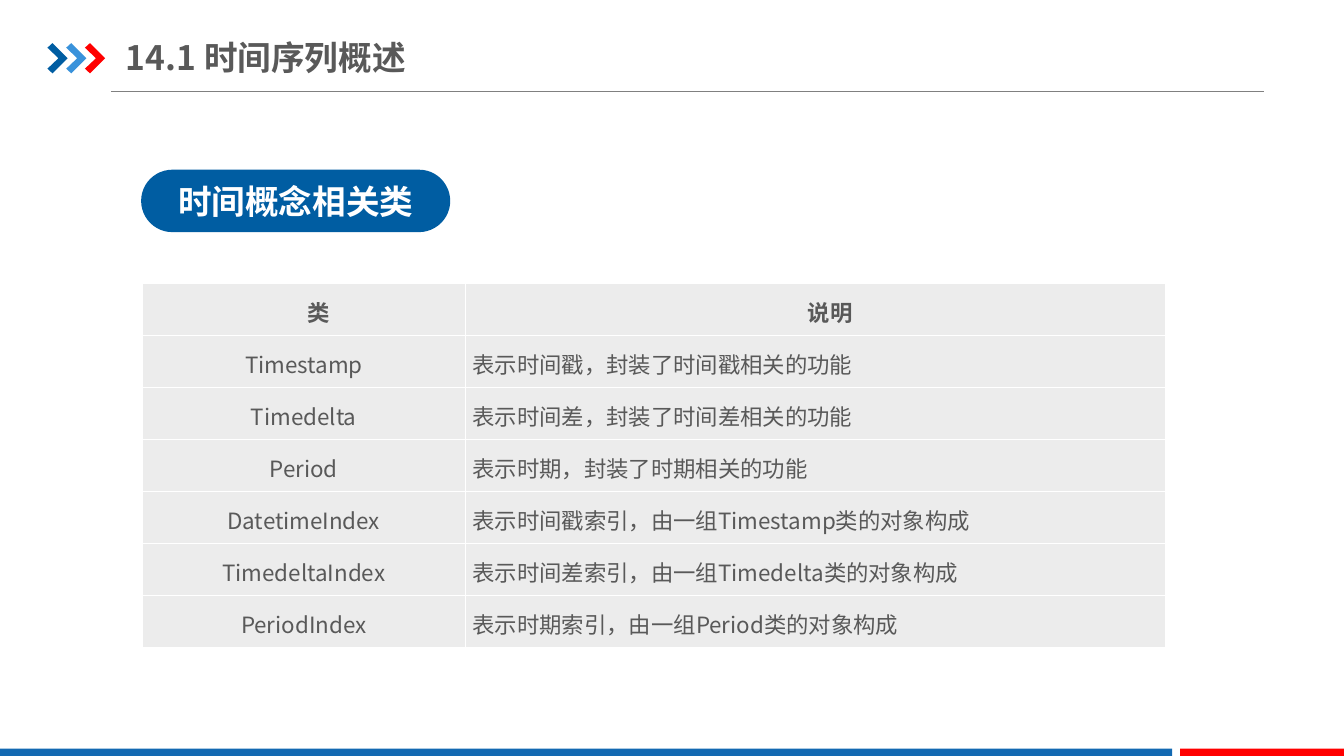
from lxml.etree import SubElement
from pptx import Presentation
from pptx.dml.color import RGBColor
from pptx.enum.shapes import MSO_CONNECTOR, MSO_SHAPE
from pptx.enum.text import MSO_ANCHOR, MSO_AUTO_SIZE, PP_ALIGN
from pptx.oxml.ns import qn
from pptx.util import Pt

FONT = "Noto Sans CJK SC"
BLUE, RED, GREY, WHITE = "005DA2", "FF0000", "595959", "FFFFFF"


def paint(fill, color):
    fill.solid()
    fill.fore_color.rgb = RGBColor.from_string(color)


def write(frame, text, size, color, bold, align):
    """Put one formatted run, with its East Asian font, into a text frame."""
    frame.vertical_anchor = MSO_ANCHOR.MIDDLE
    paragraph = frame.paragraphs[0]
    paragraph.alignment = align
    run = paragraph.add_run()
    run.text = text
    for attribute, value in {"size": Pt(size), "bold": bold, "name": FONT}.items():
        setattr(run.font, attribute, value)
    paint(run.font.fill, color)
    SubElement(run._r.get_or_add_rPr(), qn("a:ea"), typeface=FONT)
    return paragraph


presentation = Presentation()
presentation.slide_width, presentation.slide_height = Pt(960), Pt(540)
slide = presentation.slides.add_slide(presentation.slide_layouts[5])
shapes = slide.shapes

# Heading with its rule and three chevrons
heading_rule = shapes.add_connector(MSO_CONNECTOR.STRAIGHT, Pt(79.2), Pt(65.5), Pt(903), Pt(65.5))
paint(heading_rule.line.fill, "808080")
heading_rule.line.width = Pt(0.75)
SubElement(heading_rule._element.spPr, qn("a:effectLst"))

CHEVRON = [(0, 3.3), (3.6, 0), (14.4, 10.8), (3.6, 21.6), (0, 18.3), (7.9, 10.8)]
for index, color in enumerate([BLUE, "3992DB", RED]):
    corners = [(Pt(33.9 + 13.4 * index + x), Pt(30.8 + y)) for x, y in CHEVRON]
    builder = shapes.build_freeform(*corners[0])
    builder.add_line_segments(corners[1:], close=True)
    chevron = builder.convert_to_shape()
    chevron.shadow.inherit = False
    paint(chevron.fill, color)
    chevron.line.fill.background()

heading = shapes.title
heading.left, heading.top, heading.width, heading.height = Pt(90), Pt(21), Pt(327.6), Pt(39.6)
heading_format = {"margin_left": 0, "margin_right": 0, "margin_top": Pt(5), "margin_bottom": Pt(5),
                  "word_wrap": True, "auto_size": MSO_AUTO_SIZE.NONE}
for attribute, value in heading_format.items():
    setattr(heading.text_frame, attribute, value)
write(heading.text_frame, "14.1 时间序列概述", 24, GREY, True, PP_ALIGN.LEFT)

# Footer bars and topic pill
for kind, left, top, width, height, color, label in [
    (MSO_SHAPE.RECTANGLE, 0, 534.8, 837.2, 6.2, "1369B2", ""),
    (MSO_SHAPE.RECTANGLE, 843, 534.8, 117.2, 6.2, RED, ""),
    (MSO_SHAPE.ROUNDED_RECTANGLE, 100.8, 121.2, 220.8, 44.6, BLUE, "时间概念相关类"),
]:
    block = shapes.add_shape(kind, Pt(left), Pt(top), Pt(width), Pt(height))
    block.shadow.inherit = False
    paint(block.fill, color)
    block.line.fill.background()
    if label:
        block.adjustments[0] = 0.5
        write(block.text_frame, label, 24, WHITE, True, PP_ALIGN.CENTER)

# Table of time classes
CLASSES = [
    ("类", "说明"),
    ("Timestamp", "表示时间戳，封装了时间戳相关的功能"),
    ("Timedelta", "表示时间差，封装了时间差相关的功能"),
    ("Period", "表示时期，封装了时期相关的功能"),
    ("DatetimeIndex", "表示时间戳索引，由一组Timestamp类的对象构成"),
    ("TimedeltaIndex", "表示时间差索引，由一组Timedelta类的对象构成"),
    ("PeriodIndex", "表示时期索引，由一组Period类的对象构成"),
]
ROW_HEIGHT = 37.2
classes = shapes.add_table(len(CLASSES), 2, Pt(101.4), Pt(202.2), Pt(731), Pt(ROW_HEIGHT * len(CLASSES))).table
classes.horz_banding = False
classes.columns[0].width, classes.columns[1].width = Pt(231.2), Pt(499.8)
cell_margins = {"margin_left": Pt(5), "margin_right": Pt(5), "margin_top": 0, "margin_bottom": 0}

for row, texts in enumerate(CLASSES):
    classes.rows[row].height = Pt(ROW_HEIGHT)
    is_header = row == 0
    for column, text in enumerate(texts):
        cell = classes.cell(row, column)
        for attribute, value in cell_margins.items():
            setattr(cell, attribute, value)
        cell.vertical_anchor = MSO_ANCHOR.MIDDLE
        align = PP_ALIGN.CENTER if is_header or column == 0 else PP_ALIGN.LEFT
        paragraph = write(cell.text_frame, text, 16, GREY, is_header, align)
        paragraph.line_spacing = 1.15
        if is_header:
            paragraph._p.get_or_add_pPr().set("indent", str(Pt(21)))
        cell_properties = cell._tc.get_or_add_tcPr()
        for side in ("lnL", "lnR", "lnT", "lnB"):
            border = SubElement(cell_properties, qn(f"a:{side}"), w=str(Pt(1)))
            SubElement(SubElement(border, qn("a:solidFill")), qn("a:srgbClr"), val=WHITE)
        paint(cell.fill, "ECECEC")

presentation.save("out.pptx")
